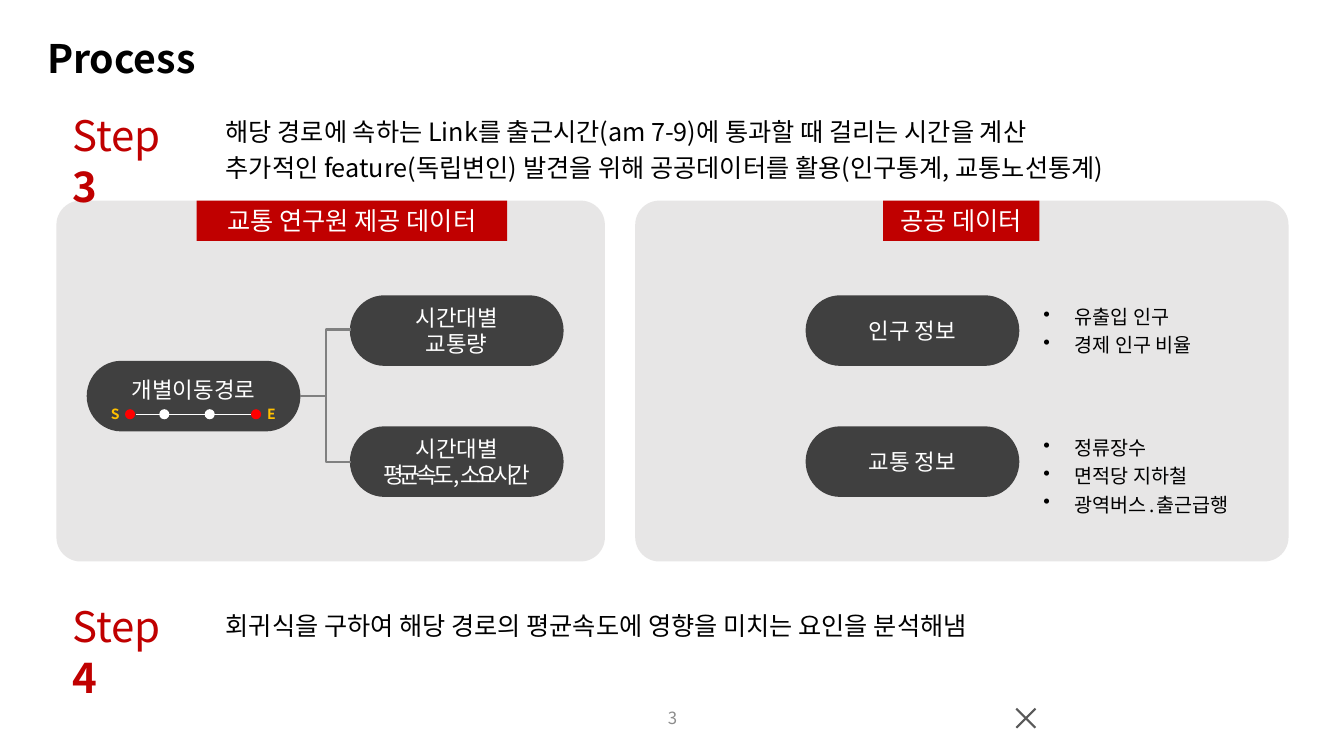
from lxml import etree
from pptx import Presentation
from pptx.dml.color import RGBColor
from pptx.enum.shapes import MSO_CONNECTOR, MSO_SHAPE
from pptx.enum.text import MSO_ANCHOR, PP_ALIGN
from pptx.oxml.ns import qn
from pptx.util import Inches, Pt

LEFT, CENTER = PP_ALIGN.LEFT, PP_ALIGN.CENTER
TOP, MIDDLE = MSO_ANCHOR.TOP, MSO_ANCHOR.MIDDLE
STRAIGHT, ELBOW = MSO_CONNECTOR.STRAIGHT, MSO_CONNECTOR.ELBOW
RECT, ROUND = MSO_SHAPE.RECTANGLE, MSO_SHAPE.ROUNDED_RECTANGLE
PILL, OVAL = MSO_SHAPE.FLOWCHART_TERMINATOR, MSO_SHAPE.OVAL

FONT = "Noto Sans CJK KR"
BLACK = RGBColor(0x00, 0x00, 0x00)
WHITE = RGBColor(0xFF, 0xFF, 0xFF)
CRIMSON = RGBColor(0xC0, 0x00, 0x00)
RED = RGBColor(0xFF, 0x00, 0x00)
GOLD = RGBColor(0xFF, 0xC0, 0x00)
PALE = RGBColor(0xE7, 0xE6, 0xE6)
DARK = RGBColor(0x40, 0x40, 0x40)
GRAY = RGBColor(0x80, 0x80, 0x80)
SLATE = RGBColor(0x59, 0x59, 0x59)
SILVER = RGBColor(0x8C, 0x8C, 0x8C)

prs = Presentation()
prs.slide_width, prs.slide_height = Inches(13.33), Inches(7.5)
slide = prs.slides.add_slide(prs.slide_layouts[6])
shapes = slide.shapes


def write(place, lines, kind=None, fill=None, size=18, color=BLACK, bold=False,
          align=LEFT, anchor=TOP, space=None, bullet=False, tight=None):
    """Add a shape of the given kind, or a text box, holding the lines.

    A line is a string or a list of (text, bold) runs; tight is the
    letter spacing of the last line.
    """
    spot = [Inches(n) for n in place]
    if kind is None:
        shape = shapes.add_textbox(*spot)
    else:
        shape = shapes.add_shape(kind, *spot)
        shape.shadow.inherit = False
        shape.fill.solid()
        shape.fill.fore_color.rgb = fill
        shape.line.fill.background()
    frame = shape.text_frame
    frame.word_wrap = True
    frame.vertical_anchor = anchor
    for i, line in enumerate(lines):
        para = frame.paragraphs[0] if i == 0 else frame.add_paragraph()
        para.alignment = align
        if space:
            para.line_spacing = space
        if bullet:
            props = para._p.get_or_add_pPr()
            props.set("marL", str(Inches(0.31)))
            props.set("indent", str(-Inches(0.31)))
            etree.SubElement(props, qn("a:buChar")).set("char", "•")
        for text, heavy in [(line, bold)] if isinstance(line, str) else line:
            run = para.add_run()
            run.text = text
            font = run.font
            font.name, font.size, font.bold = FONT, Pt(size), heavy
            font.color.rgb = color
            mark = font._element
            etree.SubElement(mark, qn("a:ea")).set("typeface", FONT)
            if tight and i == len(lines) - 1:
                mark.set("spc", str(tight * 100))
    return shape


def join(x1, y1, x2, y2, color, width=1.5, kind=STRAIGHT):
    line = shapes.add_connector(kind, Inches(x1), Inches(y1), Inches(x2), Inches(y2))
    line.line.color.rgb = color
    line.line.width = Pt(width)
    etree.SubElement(line._element.spPr, qn("a:effectLst"))


# Footer cross and page number
join(10.08, 7.03, 10.27, 7.22, SLATE)
join(10.27, 7.03, 10.08, 7.22, SLATE)
write((5.17, 6.92, 3, 0.4), ["3"], size=12, color=SILVER, align=CENTER, anchor=MIDDLE)

# Title
write((0.37, 0.31, 12.6, 0.59), ["Process"], size=28, bold=True, anchor=MIDDLE, space=0.9)

# Panels with their red labels
for left, width, tab, span, name in [
    (6.3, 6.48, 8.76, 1.55, "공공 데이터"),
    (0.56, 5.44, 1.95, 3.08, "교통 연구원 제공 데이터"),
]:
    panel = write((left, 1.99, width, 3.58), [], ROUND, PALE)
    panel.adjustments[0] = 0.067
    write((tab, 1.99, span, 0.4), [name], RECT, CRIMSON, color=WHITE, align=CENTER)

# Dark pills
UPPER, LOWER = 2.93, 4.23
for left, top, lines, anchor, tight in [
    (0.86, 3.58, ["개별이동경로"], TOP, None),
    (3.47, UPPER, ["시간대별", "교통량"], MIDDLE, None),
    (3.47, LOWER, ["시간대별", "평균 속도, 소요시간"], MIDDLE, -3),
    (7.99, UPPER, ["인구 정보"], MIDDLE, None),
    (7.99, LOWER, ["교통 정보"], MIDDLE, None),
]:
    write((left, top, 2.12, 0.7), lines, PILL, DARK, size=16, color=WHITE,
          align=CENTER, anchor=anchor, tight=tight)

# Branches from the route to its two measures
for y in (3.27, 4.58):
    join(2.98, 3.93, 3.48, y, GRAY, kind=ELBOW)

# Route from start to end
join(1.35, 4.11, 2.53, 4.11, WHITE, 1)
for x, color in [(1.24, RED), (1.58, WHITE), (2.03, WHITE), (2.49, RED)]:
    write((x, 4.06, 0.1, 0.1), [], OVAL, color)
for x, letter in [(1, "S"), (2.55, "E")]:
    write((x, 3.97, 0.28, 0.27), [letter], size=10, color=GOLD, bold=True)

# Steps
for top, digit in [(1.04, "3"), (5.91, "4")]:
    write((0.62, top, 1.41, 0.61), [[("Step ", False), (digit, True)]], size=30, color=CRIMSON)
write((2.14, 1.04, 9.73, 0.83), [
    "해당 경로에 속하는 Link를 출근시간(am 7-9)에 통과할 때 걸리는 시간을 계산",
    "추가적인 feature(독립변인) 발견을 위해 공공데이터를 활용(인구통계, 교통노선통계)",
], space=1.2)
write((2.14, 6.01, 8.49, 0.4), ["회귀식을 구하여 해당 경로의 평균속도에 영향을 미치는 요인을 분석해냄"])

# Bullets beside the public data
for top, width, height, items in [
    (UPPER, 1.83, 0.67, ["유출입 인구", "경제 인구 비율"]),
    (LOWER, 2.19, 0.92, ["정류장수", "면적당 지하철", "광역버스․출근급행"]),
]:
    write((10.25, top, width, height), items, size=14, space=1.2, bullet=True)

prs.save("out.pptx")
